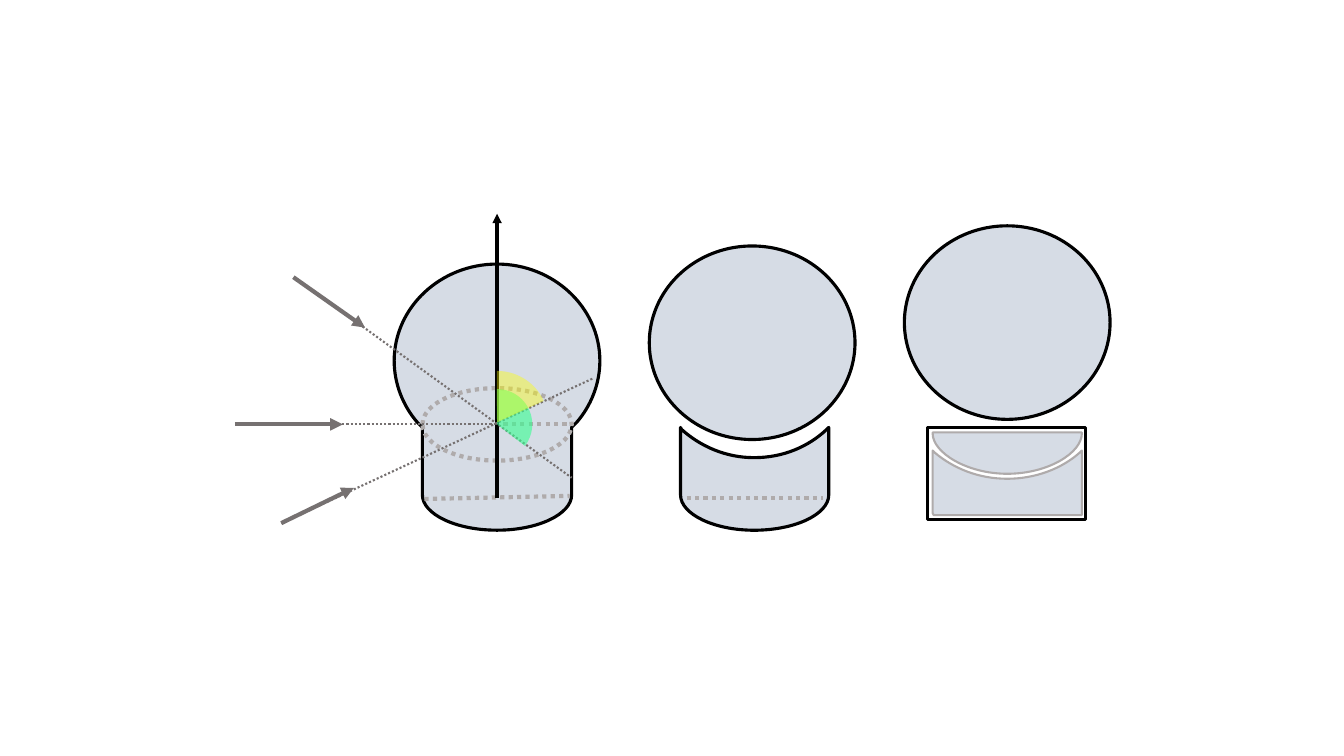
"""Draws three cross-sections of a ball and socket with lines of sight."""
from dataclasses import dataclass
from typing import Optional

from lxml import etree
from pptx import Presentation
from pptx.dml.color import RGBColor
from pptx.enum.dml import MSO_LINE
from pptx.enum.shapes import MSO_CONNECTOR, MSO_SHAPE
from pptx.oxml.ns import qn
from pptx.util import Inches, Pt

STRAIGHT = MSO_CONNECTOR.STRAIGHT
OVAL, RECT, PIE = MSO_SHAPE.OVAL, MSO_SHAPE.RECTANGLE, MSO_SHAPE.PIE
DOTTED = MSO_LINE.ROUND_DOT

BLACK = RGBColor(0x00, 0x00, 0x00)
PALE_BLUE = RGBColor(0xD6, 0xDC, 0xE5)
LIGHT_GRAY = RGBColor(0xAF, 0xAB, 0xAB)
DARK_GRAY = RGBColor(0x76, 0x71, 0x71)
GREEN = RGBColor(0x37, 0xFF, 0x91)
YELLOW = RGBColor(0xFF, 0xFF, 0x00)

AXIS_X, EYE_Y = 4.93, 4.21
PIE_UP = 161.87


@dataclass(frozen=True)
class Pen:
    color: RGBColor
    width: float
    dotted: bool = False


@dataclass(frozen=True)
class Outline:
    """Start point, then (x, y) lines and six-number cubic curves."""
    steps: list[tuple[float, ...]]
    pen: Pen


@dataclass(frozen=True)
class Preset:
    kind: MSO_SHAPE
    box: tuple[float, float, float, float]
    pen: Pen
    fill: Optional[RGBColor] = None


@dataclass(frozen=True)
class Segment:
    start: tuple[float, float]
    end: tuple[float, float]
    pen: Pen
    arrow: bool = False


@dataclass(frozen=True)
class Sector:
    left: float
    top: float
    size: float
    end_angle: float
    color: RGBColor
    opacity: int


EDGE = Pen(BLACK, 2.25)
THIN = Pen(LIGHT_GRAY, 1.5)
HIDDEN_EDGE = Pen(LIGHT_GRAY, 3, True)
RAY = Pen(DARK_GRAY, 3)
RAY_PATH = Pen(DARK_GRAY, 1.5, True)

BULB = Outline([(4.93, 2.62), (5.49, 2.62, 5.95, 3.05, 5.95, 3.58),
                (5.95, 3.81, 5.86, 4.03, 5.72, 4.19), (5.67, 4.24), (5.67, 4.91),
                (5.67, 5.1, 5.34, 5.26, 4.93, 5.26),
                (4.52, 5.26, 4.19, 5.1, 4.19, 4.91), (4.19, 4.24), (4.14, 4.19),
                (4, 4.03, 3.91, 3.81, 3.91, 3.58),
                (3.91, 3.05, 4.37, 2.62, 4.93, 2.62)], EDGE)
SOCKET = Outline([(6.75, 4.24), (6.76, 4.26), (6.95, 4.43, 7.2, 4.54, 7.48, 4.54),
                  (7.77, 4.54, 8.02, 4.43, 8.2, 4.26), (8.22, 4.24), (8.22, 4.91),
                  (8.22, 5.1, 7.89, 5.26, 7.48, 5.26),
                  (7.08, 5.26, 6.75, 5.1, 6.75, 4.91)], EDGE)
BOWL = Outline([(9.25, 4.29), (10.73, 4.29), (10.73, 4.3),
                (10.73, 4.49, 10.4, 4.7, 9.99, 4.7),
                (9.59, 4.7, 9.25, 4.49, 9.25, 4.3), (9.25, 4.29)], THIN)
BASE = Outline([(9.25, 4.47), (9.27, 4.49), (9.46, 4.65, 9.71, 4.75, 9.99, 4.75),
                (10.27, 4.75, 10.53, 4.65, 10.71, 4.49), (10.73, 4.47),
                (10.73, 5.09), (10.73, 5.11), (9.26, 5.11), (9.25, 5.09)], THIN)

SCENE = [
    BULB,
    Preset(OVAL, (4.19, 3.85, 1.48, 0.72), HIDDEN_EDGE),
    Segment((4.91, EYE_Y), (5.67, EYE_Y), HIDDEN_EDGE),
    Segment((4.21, 4.95), (5.65, 4.92), HIDDEN_EDGE),
    Preset(OVAL, (6.44, 2.44, 2.04, 1.92), EDGE, PALE_BLUE),
    SOCKET,
    Preset(OVAL, (8.97, 2.24, 2.04, 1.92), EDGE, PALE_BLUE),
    BOWL,
    BASE,
    Segment((2.91, 2.75), (3.62, 3.25), RAY, True),
    Segment((AXIS_X, 4.94), (AXIS_X, 2.12), EDGE, True),
    Segment((2.92, 2.75), (5.67, 4.74), RAY_PATH),
    Segment((2.79, 5.19), (5.89, 3.75), RAY_PATH),
    Segment((2.81, EYE_Y), (4.91, EYE_Y), RAY_PATH),
    Segment((2.79, 5.19), (3.51, 4.84), RAY, True),
    Sector(4.58, 3.86, 0.7, 22.6, GREEN, 60),
    Sector(4.42, 3.68, 1.02, 201.21, YELLOW, 40),
    Segment((2.33, EYE_Y), (3.4, EYE_Y), RAY, True),
    Segment((6.81, 4.94), (8.16, 4.94), HIDDEN_EDGE),
    Preset(RECT, (9.2, 4.24, 1.57, 0.91), EDGE),
]


def apply_pen(line, pen: Pen) -> None:
    line.color.rgb = pen.color
    line.width = Pt(pen.width)
    if pen.dotted:
        line.dash_style = DOTTED


def apply_fill(sp, color: RGBColor) -> None:
    sp.fill.solid()
    sp.fill.fore_color.rgb = color


def bend(sp, steps: list[tuple[float, ...]]) -> None:
    sides = list(sp.element.iter(qn("a:lnTo")))
    for side, step in zip(sides, steps):
        if len(step) == 6:
            side.tag = qn("a:cubicBezTo")
            for i in (0, 2):
                x, y = Inches(step[i]) - sp.left, Inches(step[i + 1]) - sp.top
                side.insert(i // 2, side.makeelement(qn("a:pt"), x=str(x), y=str(y)))


def draw_outline(shapes, outline: Outline) -> None:
    start, *steps = outline.steps
    builder = shapes.build_freeform(*map(Inches, start))
    builder.add_line_segments([tuple(map(Inches, step[-2:])) for step in steps])
    sp = builder.convert_to_shape()
    bend(sp, steps)
    sp.shadow.inherit = False
    apply_fill(sp, PALE_BLUE)
    apply_pen(sp.line, outline.pen)


def draw_preset(shapes, preset: Preset) -> None:
    sp = shapes.add_shape(preset.kind, *map(Inches, preset.box))
    sp.shadow.inherit = False
    if preset.fill is None:
        sp.fill.background()
    else:
        apply_fill(sp, preset.fill)
    apply_pen(sp.line, preset.pen)


def draw_segment(shapes, segment: Segment) -> None:
    cxn = shapes.add_connector(STRAIGHT, *map(Inches, segment.start + segment.end))
    apply_pen(cxn.line, segment.pen)
    sp_pr = cxn.element.spPr
    if segment.arrow:
        etree.SubElement(sp_pr.find(qn("a:ln")), qn("a:tailEnd"), type="triangle")
    etree.SubElement(sp_pr, qn("a:effectLst"))


def draw_sector(shapes, sector: Sector) -> None:
    size = Inches(sector.size)
    sp = shapes.add_shape(PIE, Inches(sector.left), Inches(sector.top), size, size)
    sp.adjustments[0] = PIE_UP
    sp.adjustments[1] = sector.end_angle
    sp.shadow.inherit = False
    apply_fill(sp, sector.color)
    color = sp.element.spPr.find(qn("a:solidFill")).find(qn("a:srgbClr"))
    etree.SubElement(color, qn("a:alpha"), val=str(sector.opacity * 1000))
    sp.line.fill.background()


DRAW = {Outline: draw_outline, Preset: draw_preset,
        Segment: draw_segment, Sector: draw_sector}


def main() -> None:
    prs = Presentation()
    prs.slide_width, prs.slide_height = Inches(13.33), Inches(7.5)
    shapes = prs.slides.add_slide(prs.slide_layouts[6]).shapes
    for item in SCENE:
        DRAW[type(item)](shapes, item)
    prs.save("out.pptx")


if __name__ == "__main__":
    main()
